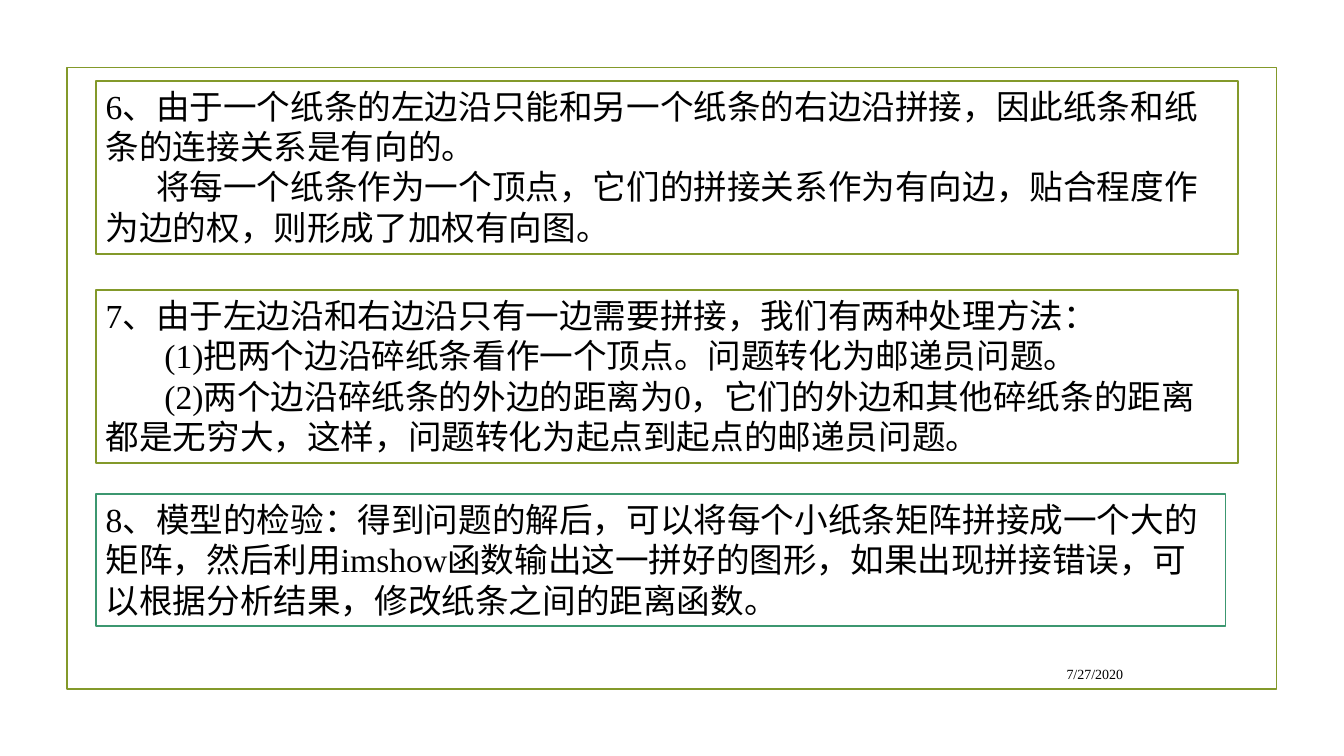
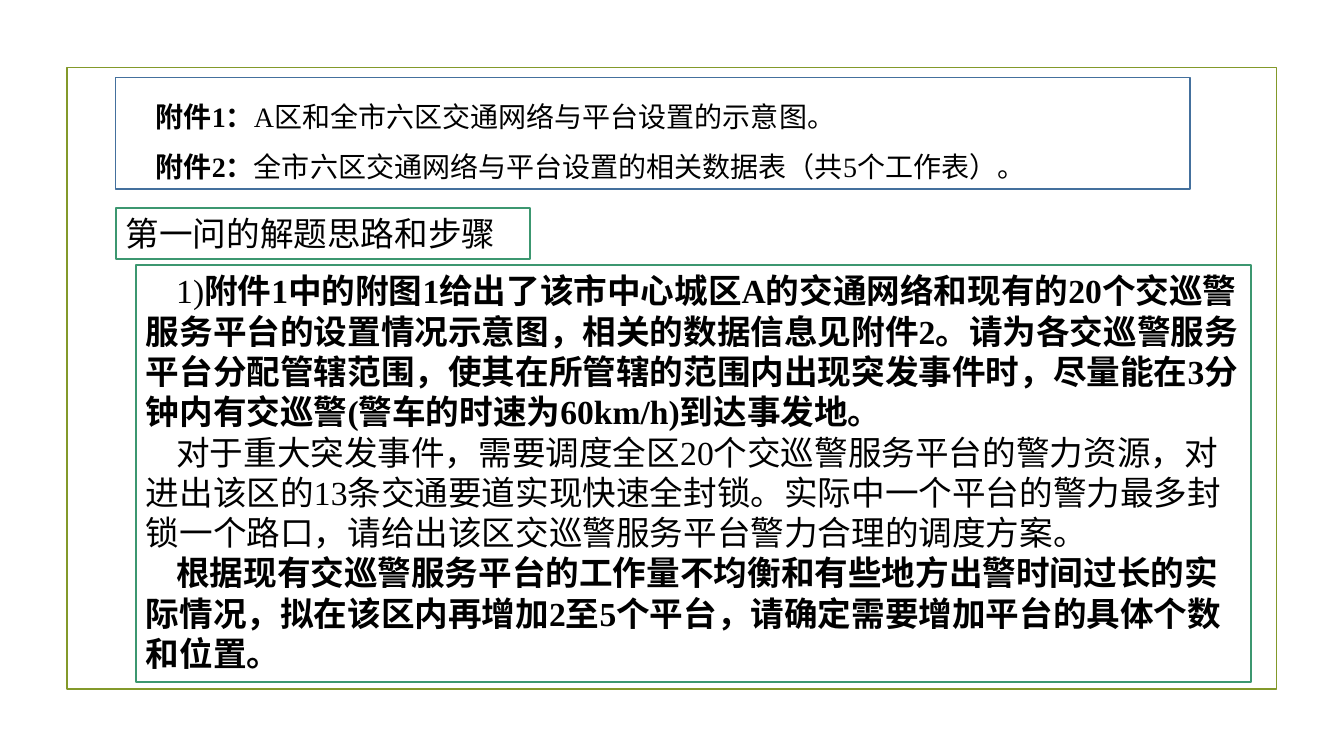
import pptx
import pptx.util
import pptx.dml.color
import pptx.enum.shapes
import pptx.enum.text

Pt = pptx.util.Pt
Align = pptx.enum.text.PP_ALIGN
Anchor = pptx.enum.text.MSO_ANCHOR
FONT = "Times New Roman"
INK, PAPER = "000000", "FFFFFF"
OLIVE, GREEN, BLUE = "83992A", "3C9770", "44709D"
RECT = pptx.enum.shapes.MSO_SHAPE.RECTANGLE


def color(code):
    """Turn a hex string into a colour."""
    return pptx.dml.color.RGBColor.from_string(code)


def border(shape, code):
    """Give a shape the common outline."""
    shape.line.color.rgb = color(code)
    shape.line.width = Pt(1.25)


def write(shape, paras, size, align=Align.LEFT, space=1.0, anchor=Anchor.TOP):
    """Fill a shape with paragraphs, each an indent and a list of (text, bold) runs."""
    frame = shape.text_frame
    frame.word_wrap = True
    frame.auto_size = pptx.enum.text.MSO_AUTO_SIZE.NONE
    frame.vertical_anchor = anchor
    for index, (indent, runs) in enumerate(paras):
        para = frame.paragraphs[0] if index == 0 else frame.add_paragraph()
        para.alignment = align
        para.line_spacing = space
        para._p.get_or_add_pPr().set("indent", str(int(Pt(indent))))
        for text, bold in runs:
            run = para.add_run()
            run.text = text
            font = run.font
            font.name, font.size, font.bold = FONT, Pt(size), bold
            font.color.rgb = color(INK)


def panel(slide, box, edge, paras, size=24, **style):
    """Draw a white outlined box of text."""
    shape = slide.shapes.add_shape(RECT, *map(Pt, box))
    shape.shadow.inherit = False
    shape.fill.solid()
    shape.fill.fore_color.rgb = color(PAPER)
    border(shape, edge)
    write(shape, paras, size, **style)


def start(deck, layout):
    """Add a slide with the common frame."""
    slide = deck.slides.add_slide(deck.slide_layouts[layout])
    frame = slide.shapes.add_shape(RECT, Pt(47.8), Pt(48.2), Pt(864), Pt(444.2))
    frame.shadow.inherit = False
    frame.fill.background()
    border(frame, OLIVE)
    return slide


def heading(slide, box, text):
    """Place the outlined title."""
    title = slide.shapes.title
    title.left, title.top, title.width, title.height = map(Pt, box)
    title.fill.solid()
    title.fill.fore_color.rgb = color(PAPER)
    border(title, GREEN)
    write(title, [(0, [(text, False)])], 24)


def date(slide, box, text):
    """Place the date line."""
    shape = slide.shapes.add_textbox(*map(Pt, box))
    write(shape, [(0, [(text, False)])], 10, align=Align.RIGHT, anchor=Anchor.MIDDLE)


def model(deck):
    """Build the slide on the graph model and its check."""
    slide = start(deck, 6)
    date(slide, (683.3, 470.2, 126, 22.3), "7/27/2020")
    left = 68.4
    panel(slide, (left, 57.6, 815.8, 123.8), OLIVE, [
        (0, [("6、由于一个纸条的左边沿只能和另一个纸条的右边沿拼接，因此纸条和纸条的连接关系是有向的。", False)]),
        (36, [("将每一个纸条作为一个顶点，它们的拼接关系作为有向边，贴合程度作为边的权，则形成了加权有向图。", False)]),
    ])
    panel(slide, (left, 207.2, 815.8, 123.8), OLIVE, [
        (0, [("7、由于左边沿和右边沿只有一边需要拼接，我们有两种处理方法：", False)]),
        (42, [("(1)把两个边沿碎纸条看作一个顶点。问题转化为邮递员问题。", False)]),
        (42, [("(2)两个边沿碎纸条的外边的距离为0，它们的外边和其他碎纸条的距离都是无穷大，这样，问题转化为起点到起点的邮递员问题。", False)]),
    ])
    panel(slide, (left, 352.8, 807, 94.5), GREEN, [
        (0, [("8、模型的检验：得到问题的解后，可以将每个小纸条矩阵拼接成一个大的矩阵，然后利用imshow函数输出这一拼好的图形，如果出现拼接错误，可以根据分析结果，修改纸条之间的距离函数。", False)]),
    ])


def police(deck):
    """Build the slide on the first question."""
    slide = start(deck, 5)
    left, indent = 82.6, 21.6
    panel(slide, (left, 55.4, 767.5, 79.8), BLUE, [
        (indent, [("附件1：", True), ("A区和全市六区交通网络与平台设置的示意图。", False)]),
        (indent, [("附件2：", True), ("全市六区交通网络与平台设置的相关数据表（共5个工作表）。", False)]),
    ], size=20, align=Align.JUSTIFY, space=1.5)
    heading(slide, (left, 148.5, 296, 36.3), "第一问的解题思路和步骤")
    panel(slide, (97.2, 189.4, 796.3, 298), GREEN, [
        (indent, [("1)", False), ("附件1中的附图1给出了该市中心城区A的交通网络和现有的20个交巡警服务平台的设置情况示意图，相关的数据信息见附件2。请为各交巡警服务平台分配管辖范围，使其在所管辖的范围内出现突发事件时，尽量能在3分钟内有交巡警(警车的时速为60km/h)到达事发地。", True)]),
        (indent, [("对于重大突发事件，需要调度全区20个交巡警服务平台的警力资源，对进出该区的13条交通要道实现快速全封锁。实际中一个平台的警力最多封锁一个路口，请给出该区交巡警服务平台警力合理的调度方案。", False)]),
        (indent, [("根据现有交巡警服务平台的工作量不均衡和有些地方出警时间过长的实际情况，拟在该区内再增加2至5个平台，请确定需要增加平台的具体个数和位置。", True)]),
    ])


def main():
    """Build and save the deck."""
    deck = pptx.Presentation()
    deck.slide_width, deck.slide_height = Pt(960), Pt(540)
    model(deck)
    police(deck)
    deck.save("out.pptx")


if __name__ == "__main__":
    main()
